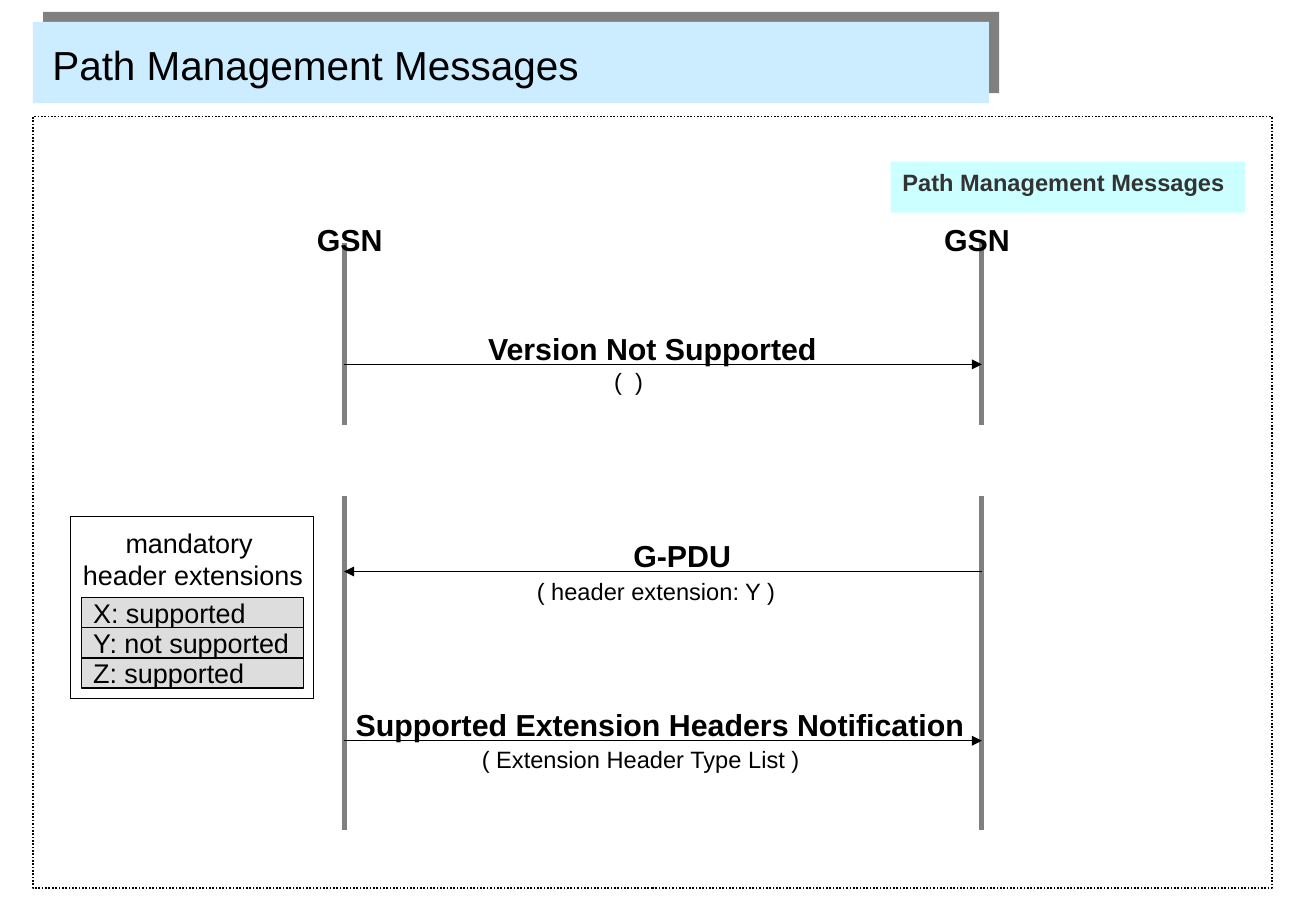
"""Build the Path Management Messages sequence slide."""
from dataclasses import dataclass
from typing import Optional

from lxml.etree import SubElement
from pptx import Presentation
from pptx.dml.color import RGBColor
from pptx.enum.dml import MSO_LINE
from pptx.enum.shapes import MSO_CONNECTOR, MSO_SHAPE
from pptx.enum.text import MSO_ANCHOR, MSO_AUTO_SIZE, PP_ALIGN
from pptx.oxml.ns import qn
from pptx.util import Cm, Pt

BLACK = RGBColor(0x00, 0x00, 0x00)
WHITE = RGBColor(0xFF, 0xFF, 0xFF)
GREY = RGBColor(0x80, 0x80, 0x80)
DARK_GREY = RGBColor(0x33, 0x33, 0x33)
ROW_GREY = RGBColor(0xDD, 0xDD, 0xDD)
TITLE_BLUE = RGBColor(0xCC, 0xEC, 0xFF)
TAG_CYAN = RGBColor(0xCC, 0xFF, 0xFF)

LEFT_NODE, RIGHT_NODE = 7.2, 20.54
LIFELINE_SPANS = [(5.08, 8.89), (10.37, 17.35)]
ROW_HEIGHT = 0.63
NAME_RISE = 0.84


@dataclass
class Box:
    left: float
    top: float
    width: float
    height: float


@dataclass
class Message:
    start: float
    end: float
    y: float
    name: str
    name_left: float
    name_width: float
    detail: str
    detail_box: Box


MESSAGES = [
    Message(LEFT_NODE, RIGHT_NODE, 7.62, "Version Not Supported", 9.96, 7.42,
            "(  )", Box(12.6, 7.54, 2.31, 0.86)),
    Message(RIGHT_NODE, LEFT_NODE, 11.95, "G-PDU", 13, 2.8,
            "( header extension: Y )", Box(10.98, 11.94, 6.71, 0.86)),
    Message(LEFT_NODE, RIGHT_NODE, 15.49, "Supported Extension Headers Notification",
            7.19, 13.6, "( Extension Header Type List )", Box(9.83, 15.45, 8.38, 0.86)),
]
EXTENSION_ROWS = ["X: supported", "Y: not supported", "Z: supported"]


def write_text(frame, text: str, *, size: float, bold: bool = False,
               color: RGBColor = BLACK, align=PP_ALIGN.LEFT,
               anchor=MSO_ANCHOR.TOP, wrap: bool = True) -> None:
    frame.word_wrap = wrap
    frame.vertical_anchor = anchor
    frame.text = text
    for para in frame.paragraphs:
        para.alignment = align
        para.font.name = "Arial"
        para.font.size = Pt(size)
        para.font.bold = bold
        para.font.color.rgb = color


def place(shape, box: Box) -> None:
    shape.left, shape.top = Cm(box.left), Cm(box.top)
    shape.width, shape.height = Cm(box.width), Cm(box.height)


def add_rectangle(page, box: Box, *, fill: Optional[RGBColor] = None,
                  line_width: float = 0):
    shape = page.shapes.add_shape(MSO_SHAPE.RECTANGLE, Cm(box.left), Cm(box.top),
                                  Cm(box.width), Cm(box.height))
    shape.shadow.inherit = False
    if fill is None:
        shape.fill.background()
    else:
        shape.fill.solid()
        shape.fill.fore_color.rgb = fill
    if line_width:
        shape.line.color.rgb = BLACK
        shape.line.width = Pt(line_width)
    else:
        shape.line.fill.background()
    return shape


def add_label(page, box: Box, text: str, **text_format) -> None:
    label = page.shapes.add_textbox(Cm(box.left), Cm(box.top),
                                    Cm(box.width), Cm(box.height))
    write_text(label.text_frame, text, wrap=False, **text_format)
    label.text_frame.auto_size = MSO_AUTO_SIZE.NONE


def add_line(page, start: tuple[float, float], end: tuple[float, float], *,
             color: RGBColor, width: float, arrow: bool = False) -> None:
    line = page.shapes.add_connector(MSO_CONNECTOR.STRAIGHT, Cm(start[0]), Cm(start[1]),
                                     Cm(end[0]), Cm(end[1]))
    line.line.color.rgb = color
    line.line.width = Pt(width)
    properties = line.element.find(qn("p:spPr"))
    if arrow:
        SubElement(properties.find(qn("a:ln")), qn("a:tailEnd"), type="triangle")
    SubElement(properties, qn("a:effectLst"))


def add_title(page) -> None:
    band = add_rectangle(page, Box(0.69, 0.46, 20, 1.7), fill=TITLE_BLUE)
    effects = band.element.find(qn("p:spPr")).find(qn("a:effectLst"))
    shadow = SubElement(effects, qn("a:outerShdw"), dist=str(Pt(8.5)),
                        dir=str(315 * 60000), algn="ctr", rotWithShape="0")
    SubElement(shadow, qn("a:srgbClr"), val=str(GREY))
    title = page.shapes.title
    band.element.addnext(title.element)
    place(title, Box(0.84, 0.63, 19.89, 1.42))
    write_text(title.text_frame, "Path Management Messages", size=24,
               anchor=MSO_ANCHOR.MIDDLE)


def add_extension_list(page) -> None:
    add_rectangle(page, Box(1.47, 10.8, 5.09, 3.81), fill=WHITE, line_width=0.75)
    add_label(page, Box(1.48, 10.88, 5.11, 1.63), "mandatory \nheader extensions",
              size=16, align=PP_ALIGN.CENTER)
    for index, text in enumerate(EXTENSION_ROWS):
        row = add_rectangle(page, Box(1.7, 12.5 + index * ROW_HEIGHT, 4.65, ROW_HEIGHT),
                            fill=ROW_GREY, line_width=0.75)
        row.text_frame.margin_right = 0
        write_text(row.text_frame, text, size=16, anchor=MSO_ANCHOR.MIDDLE)


def add_message(page, message: Message) -> None:
    add_line(page, (message.start, message.y), (message.end, message.y),
             color=BLACK, width=0.75, arrow=True)
    add_label(page, Box(message.name_left, message.y - NAME_RISE, message.name_width, 1.02),
              message.name, size=18, bold=True)
    add_label(page, message.detail_box, message.detail, size=14)


def main() -> None:
    deck = Presentation()
    deck.slide_width, deck.slide_height = Cm(27.53), Cm(19.05)
    page = deck.slides.add_slide(deck.slide_layouts[5])
    add_title(page)
    frame = add_rectangle(page, Box(0.69, 2.44, 25.92, 16.13), line_width=1)
    frame.line.dash_style = MSO_LINE.ROUND_DOT
    for x in (LEFT_NODE, RIGHT_NODE):
        for top, bottom in LIFELINE_SPANS:
            add_line(page, (x, top), (x, bottom), color=GREY, width=3)
    for left in (6.38, 19.5):
        add_label(page, Box(left, 4.5, 1.88, 1.02), "GSN", size=18, bold=True)
    add_extension_list(page)
    for message in MESSAGES:
        add_message(page, message)
    tag = add_rectangle(page, Box(18.63, 3.38, 7.42, 1.07), fill=TAG_CYAN)
    write_text(tag.text_frame, "Path Management Messages", size=14, bold=True,
               color=DARK_GREY)
    deck.save("out.pptx")


if __name__ == "__main__":
    main()
